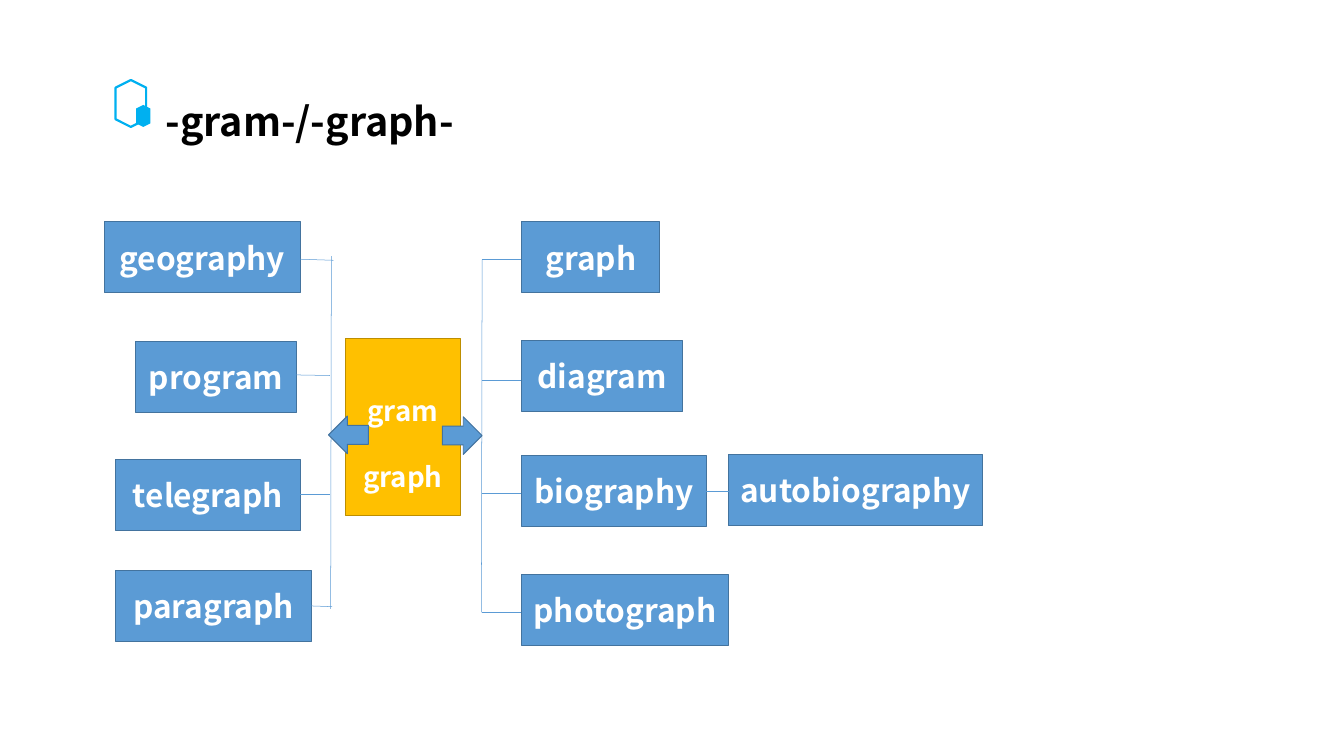
from dataclasses import dataclass
from typing import Optional

from lxml.etree import SubElement
from pptx import Presentation
from pptx.dml.color import RGBColor
from pptx.enum.shapes import MSO_CONNECTOR, MSO_SHAPE
from pptx.enum.text import MSO_ANCHOR, MSO_AUTO_SIZE, PP_ALIGN
from pptx.oxml.ns import qn
from pptx.shapes.autoshape import Shape
from pptx.slide import Slide
from pptx.text.text import _Paragraph
from pptx.util import Emu, Pt

PX = 9144  # EMU in one px, 100 px to the inch


@dataclass(frozen=True)
class Theme:
    font: str = "Noto Sans CJK SC"
    blue: str = "5B9BD5"
    edge: str = "43739E"
    gold: str = "FFC000"
    rim: str = "BD8E00"
    cyan: str = "00B0F0"
    white: str = "FFFFFF"
    black: str = "000000"
    title: int = 40
    word: int = 32
    root: int = 28
    thin: float = 0.5
    line: float = 1
    bold: float = 2.25


@dataclass(frozen=True)
class Box:
    left: int
    top: int
    width: int
    height: int = 100


@dataclass(frozen=True)
class Word:
    text: str
    box: Box


@dataclass(frozen=True)
class Wire:
    x1: int
    y1: int
    x2: int
    y2: int


THEME = Theme()
RIGHT = 734  # left edge of the right-hand words

WORDS = [
    Word("geography", Box(147, 312, 275)),
    Word("program", Box(191, 480, 226)),
    Word("telegraph", Box(163, 646, 259)),
    Word("paragraph", Box(163, 802, 275)),
    Word("graph", Box(RIGHT, 312, 194)),
    Word("diagram", Box(RIGHT, 479, 226)),
    Word("biography", Box(RIGHT, 640, 259)),
    Word("photograph", Box(RIGHT, 808, 290)),
    Word("autobiography", Box(1024, 639, 358)),
]

TWIGS = [
    Wire(407, 364, 469, 366),
    Wire(405, 527, 464, 528),
    Wire(415, 695, 464, 695),
    Wire(437, 852, 467, 853),
    *(Wire(678, y, RIGHT - 1, y) for y in (365, 534, 694, 861)),
    Wire(993, 691, 1031, 691),
]
STEMS = [Wire(466, 360, 465, 856), Wire(678, 365, 677, 861)]


def color(code: str) -> RGBColor:
    return RGBColor.from_string(code)


def px(*sizes: int) -> list[Emu]:
    return [Emu(size * PX) for size in sizes]


def style(para: _Paragraph, size: int, code: str) -> None:
    font = para.font
    font.name = THEME.font
    font.size = Pt(size)
    font.bold = True
    font.color.rgb = color(code)


def draw(slide: Slide, kind: MSO_SHAPE, box: Box, fill: Optional[str],
         edge: Optional[str], width: float = THEME.line) -> Shape:
    """Add a preset shape; None leaves out its fill or its edge."""
    shape = slide.shapes.add_shape(
        kind, *px(box.left, box.top, box.width, box.height))
    shape.shadow.inherit = False
    if fill:
        shape.fill.solid()
        shape.fill.fore_color.rgb = color(fill)
    else:
        shape.fill.background()
    if edge:
        shape.line.color.rgb = color(edge)
        shape.line.width = Pt(width)
    else:
        shape.line.fill.background()
    return shape


def label(shape: Shape, lines: list[str], size: int, space: float = 1) -> None:
    frame = shape.text_frame
    frame.word_wrap = True
    frame.vertical_anchor = MSO_ANCHOR.MIDDLE
    frame.text = "\n".join(lines)
    for para in frame.paragraphs:
        para.alignment = PP_ALIGN.CENTER
        para.line_spacing = space
        style(para, size, THEME.white)


def join(slide: Slide, wire: Wire) -> None:
    line = slide.shapes.add_connector(
        MSO_CONNECTOR.STRAIGHT, *px(wire.x1, wire.y1, wire.x2, wire.y2))
    line.line.color.rgb = color(THEME.blue)
    line.line.width = Pt(THEME.thin)
    SubElement(line._element.spPr, qn("a:effectLst"))


def head(slide: Slide) -> None:
    """Draw the title and the two hexagons beside it."""
    large = draw(slide, MSO_SHAPE.HEXAGON, Box(151, 124, 66, 43),
                 None, THEME.cyan, THEME.bold)
    small = draw(slide, MSO_SHAPE.HEXAGON, Box(186, 153, 31, 20),
                 THEME.cyan, None)
    large.rotation = small.rotation = 90

    frame = slide.shapes.add_textbox(*px(223, 132, 477, 77)).text_frame
    frame.word_wrap = False
    frame.auto_size = MSO_AUTO_SIZE.SHAPE_TO_FIT_TEXT
    frame.text = "-gram-/-graph-"
    style(frame.paragraphs[0], THEME.title, THEME.black)


def core(slide: Slide) -> None:
    """Draw the roots in the middle with an arrow to each side."""
    root = draw(slide, MSO_SHAPE.RECTANGLE, Box(486, 476, 161, 249),
                THEME.gold, THEME.rim)
    label(root, ["gram", "graph"], THEME.root, 2)
    for kind, left, top in ((MSO_SHAPE.LEFT_ARROW, 462, 585),
                            (MSO_SHAPE.RIGHT_ARROW, 622, 586)):
        draw(slide, kind, Box(left, top, 56, 53), THEME.blue, THEME.edge)


def main() -> None:
    deck = Presentation()
    deck.slide_width, deck.slide_height = px(1890, 1063)
    slide = deck.slides.add_slide(deck.slide_layouts[6])
    for word in WORDS:
        shape = draw(slide, MSO_SHAPE.RECTANGLE, word.box,
                     THEME.blue, THEME.edge)
        label(shape, [word.text], THEME.word)
    head(slide)
    for wire in TWIGS + STEMS:
        join(slide, wire)
    core(slide)
    deck.save("out.pptx")


if __name__ == "__main__":
    main()
